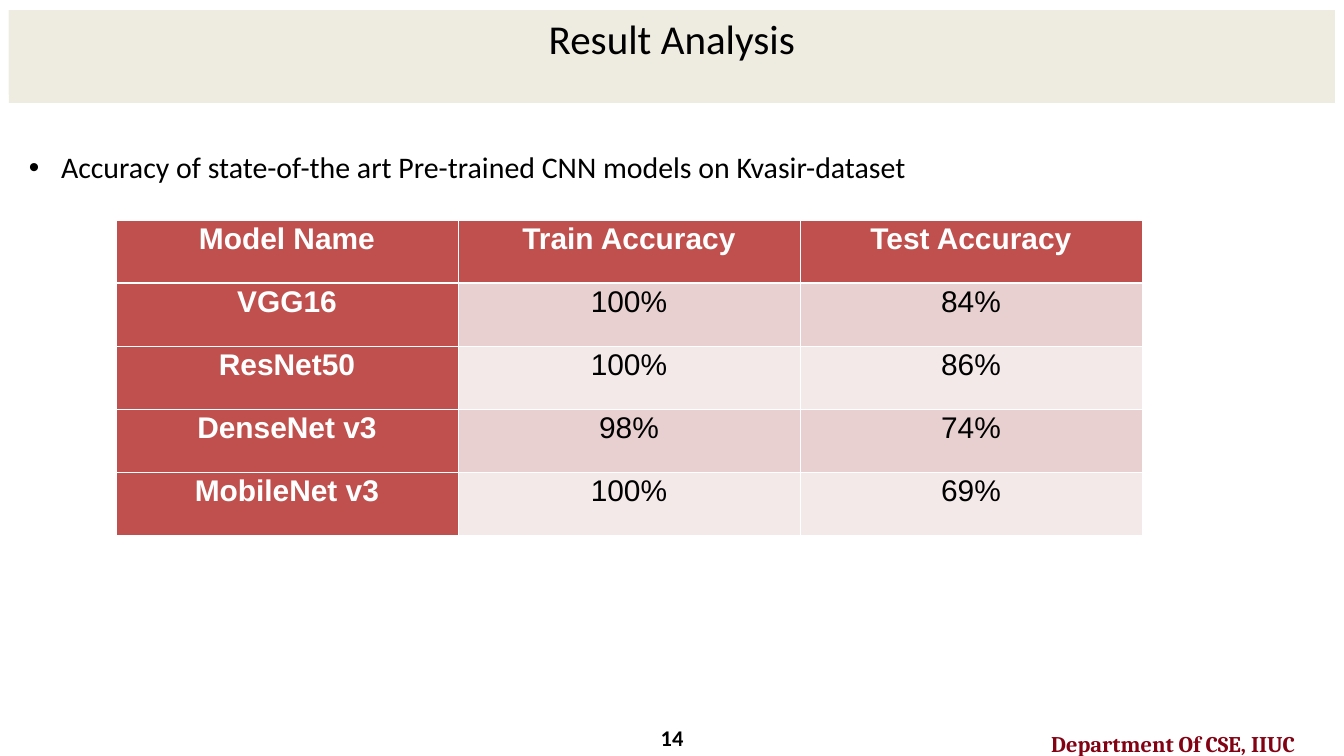
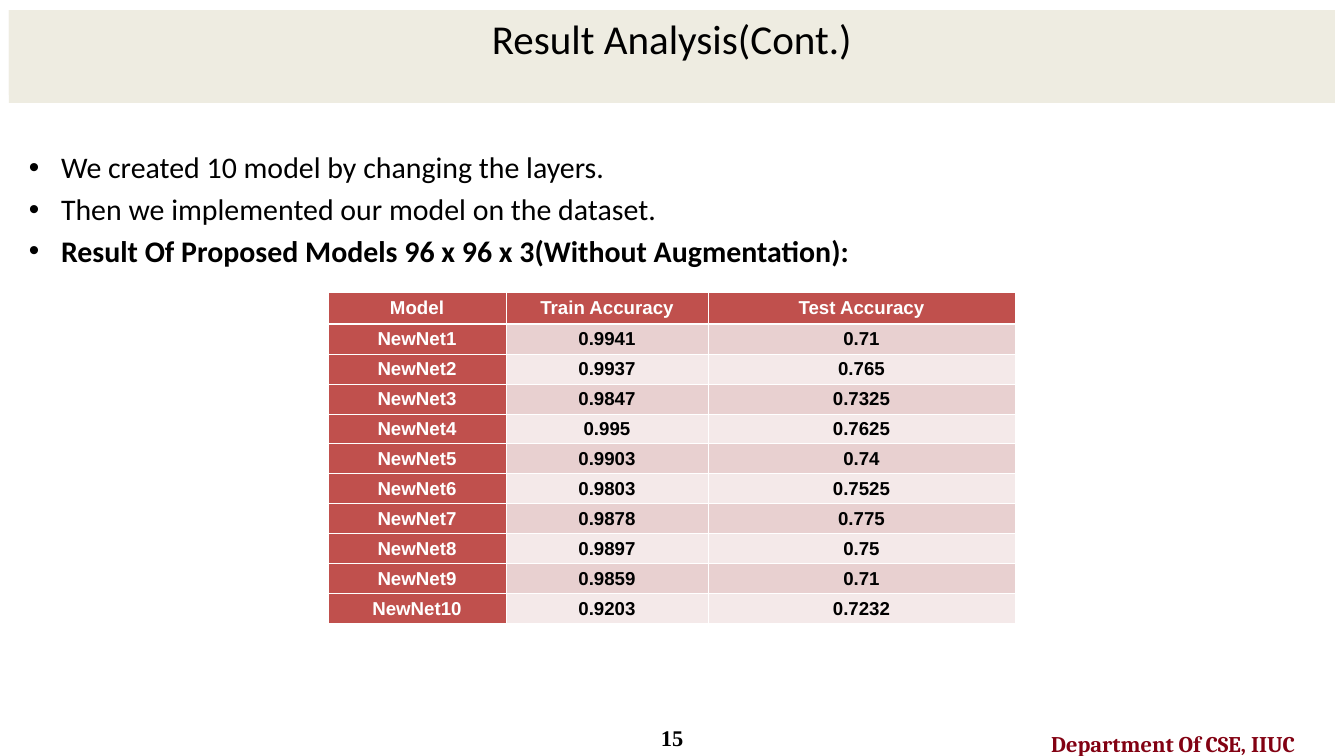
from lxml import etree
from pptx import Presentation
from pptx.dml.color import RGBColor
from pptx.enum.shapes import MSO_SHAPE
from pptx.enum.text import MSO_ANCHOR, MSO_AUTO_SIZE, PP_ALIGN
from pptx.oxml.ns import qn
from pptx.util import Emu, Pt

CENTER, LEFT = PP_ALIGN.CENTER, PP_ALIGN.LEFT
TOP, MIDDLE = MSO_ANCHOR.TOP, MSO_ANCHOR.MIDDLE
RECTANGLE = MSO_SHAPE.RECTANGLE
FIT_SHAPE = MSO_AUTO_SIZE.SHAPE_TO_FIT_TEXT

COLORS = {
    "ink": "000000", "white": "FFFFFF", "band": "EEECE1", "maroon": "820112",
    "header": "C0504D", "odd_row": "E8D0D0", "even_row": "F4E9E9",
}

DEPARTMENT = "Department Of CSE, IIUC"
SLIDES = [
    {
        "title": "Result Analysis",
        "number": ("14", "Calibri"),
        "bullets": [
            ("Accuracy of state-of-the art Pre-trained CNN models on Kvasir-dataset", False),
        ],
        "results": [
            ("Model Name", "Train Accuracy", "Test Accuracy"),
            ("VGG16", "100%", "84%"),
            ("ResNet50", "100%", "86%"),
            ("DenseNet v3", "98%", "74%"),
            ("MobileNet v3", "100%", "69%"),
        ],
        "layout": {
            "corner": (116, 220), "columns": (342, 342, 342),
            "header_height": 63, "row_height": 63, "insets": (5, 0, 5, 0),
            "anchor": TOP, "size": 32, "bold_values": False, "line_spacing": 1.07,
        },
    },
    {
        "title": "Result Analysis(Cont.)",
        "number": ("15", "Times New Roman"),
        "bullets": [
            ("We created 10 model by changing the layers.", False),
            ("Then we implemented our model on the dataset.", False),
            ("Result Of Proposed Models 96 x 96 x 3(Without Augmentation):", True),
        ],
        "results": [
            ("Model", "Train Accuracy", "Test Accuracy"),
            ("NewNet1", "0.9941", "0.71"),
            ("NewNet2", "0.9937", "0.765"),
            ("NewNet3", "0.9847", "0.7325"),
            ("NewNet4", "0.995", "0.7625"),
            ("NewNet5", "0.9903", "0.74"),
            ("NewNet6", "0.9803", "0.7525"),
            ("NewNet7", "0.9878", "0.775"),
            ("NewNet8", "0.9897", "0.75"),
            ("NewNet9", "0.9859", "0.71"),
            ("NewNet10", "0.9203", "0.7232"),
        ],
        "layout": {
            "corner": (328, 292), "columns": (178, 202, 307),
            "header_height": 32, "row_height": 30, "insets": (1, 1, 1, 0),
            "anchor": MIDDLE, "size": 20, "bold_values": True, "line_spacing": 1.0,
        },
    },
]

SLIDE_SIZE = (1344, 756)
BAND = (9, 10, 1326, 93)
TITLE = (9, 10, 1326, 85)
BODY = (20, 146, 1302, 528)
NUMBER = (630, 723, 84, 29)
FOOTER = (1023, 719, 300, 38)
TEXT_INSETS = (7, 3, 7, 3)
BULLET_INDENT, BULLET_HANG = 34, 32
THIN, THICK = 1, 3


def px(length):
    return Emu(round(length * 914400 / 67.2))


def color(name):
    return RGBColor.from_string(COLORS[name])


def paint(target, name):
    target.fill.solid()
    target.fill.fore_color.rgb = color(name)


def set_insets(target, insets):
    for side, inset in zip(("left", "top", "right", "bottom"), insets):
        setattr(target, f"margin_{side}", px(inset))


def write(paragraph, text, font, size, ink="ink", bold=False, **paragraph_format):
    for name, value in paragraph_format.items():
        setattr(paragraph, name, value)
    run = paragraph.add_run()
    run.text = text
    for name, value in {"name": font, "size": Pt(size), "bold": bold}.items():
        setattr(run.font, name, value)
    run.font.color.rgb = color(ink)


def add_rectangle(slide, box):
    rectangle = slide.shapes.add_shape(RECTANGLE, *map(px, box))
    rectangle.shadow.inherit = False
    rectangle.line.fill.background()
    paint(rectangle, "band")
    return rectangle


def prepare_frame(shape, insets=TEXT_INSETS, anchor=TOP):
    frame = shape.text_frame
    frame.word_wrap = True
    frame.vertical_anchor = anchor
    set_insets(frame, insets)
    return frame


def add_frame(slide, box, **options):
    return prepare_frame(slide.shapes.add_textbox(*map(px, box)), **options)


def add_common_parts(slide, title, number):
    footer = add_frame(slide, FOOTER, insets=(0, 0, 0, 0))
    footer.auto_size = FIT_SHAPE
    write(footer.paragraphs[0], DEPARTMENT, "Cambria", 24, "maroon", True,
          alignment=CENTER, line_spacing=1.4)
    add_rectangle(slide, BAND)
    page, page_font = number
    write(add_frame(slide, NUMBER, anchor=MIDDLE).paragraphs[0], page, page_font, 24,
          bold=True, alignment=CENTER)
    heading = prepare_frame(add_rectangle(slide, TITLE))
    write(heading.paragraphs[0], title, "Calibri", 44, alignment=CENTER)


def set_bullet(paragraph):
    properties = paragraph._p.get_or_add_pPr()
    properties.set("marL", str(px(BULLET_INDENT)))
    properties.set("indent", str(-px(BULLET_HANG)))
    tint = etree.SubElement(properties, qn("a:buClr"))
    etree.SubElement(tint, qn("a:srgbClr"), val=COLORS["ink"])
    etree.SubElement(properties, qn("a:buFont"), typeface="Arial")
    etree.SubElement(properties, qn("a:buChar"), char="•")


def add_bullets(slide, bullets):
    frame = add_frame(slide, BODY)
    for index, (text, bold) in enumerate(bullets):
        paragraph = frame.add_paragraph() if index else frame.paragraphs[0]
        set_bullet(paragraph)
        write(paragraph, text, "Calibri", 32, bold=bold, alignment=LEFT,
              space_before=Pt(6.4 if index else 0))


def set_borders(cell, top, bottom):
    properties = cell._tc.get_or_add_tcPr()
    for side, width in {"L": THIN, "R": THIN, "T": top, "B": bottom}.items():
        border = etree.SubElement(properties, qn(f"a:ln{side}"), w=str(Pt(width)))
        fill = etree.SubElement(border, qn("a:solidFill"))
        etree.SubElement(fill, qn("a:srgbClr"), val=COLORS["white"])


def add_results(slide, results, layout):
    columns = layout["columns"]
    heights = [layout["header_height"]] + [layout["row_height"]] * (len(results) - 1)
    box = (*layout["corner"], sum(columns), sum(heights))
    table = slide.shapes.add_table(len(results), len(columns), *map(px, box)).table
    for column, width in zip(table.columns, columns):
        column.width = px(width)
    for row, height in zip(table.rows, heights):
        row.height = px(height)
    for r, record in enumerate(results):
        for c, text in enumerate(record):
            cell = table.cell(r, c)
            is_label = r == 0 or c == 0
            set_borders(cell, THICK if r == 1 else THIN, THICK if r == 0 else THIN)
            paint(cell, "header" if is_label else "odd_row" if r % 2 else "even_row")
            set_insets(cell, layout["insets"])
            cell.vertical_anchor = layout["anchor"]
            write(cell.text_frame.paragraphs[0], text, "Arial", layout["size"],
                  "white" if is_label else "ink", is_label or layout["bold_values"],
                  alignment=CENTER, line_spacing=layout["line_spacing"])


def main():
    deck = Presentation()
    deck.slide_width, deck.slide_height = map(px, SLIDE_SIZE)
    blank = deck.slide_layouts[6]
    for content in SLIDES:
        slide = deck.slides.add_slide(blank)
        add_common_parts(slide, content["title"], content["number"])
        add_bullets(slide, content["bullets"])
        add_results(slide, content["results"], content["layout"])
    deck.save("out.pptx")


if __name__ == "__main__":
    main()
